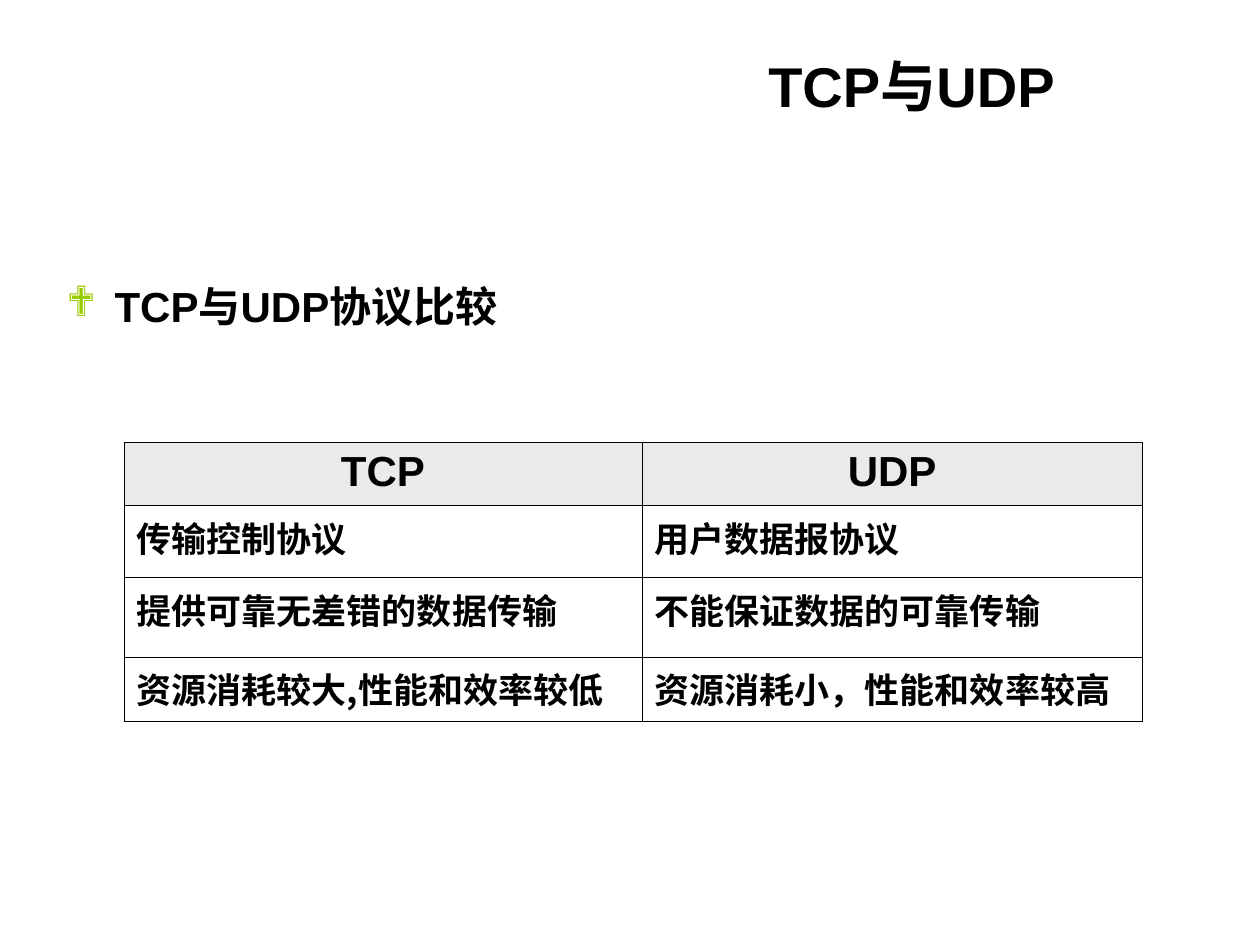
from dataclasses import dataclass

from lxml import etree
from pptx import Presentation
from pptx.dml.color import RGBColor
from pptx.enum import text as txt
from pptx.oxml import ns
from pptx.util import Pt

BLACK = RGBColor(0x00, 0x00, 0x00)
HEADER_GRAY = RGBColor(0xEA, 0xEA, 0xEA)
BULLET_GREEN = RGBColor(0x99, 0xCC, 0x00)
LATIN, CJK = "Arial", "Noto Sans CJK SC"
LEFT, CENTER, RIGHT = (txt.PP_ALIGN.LEFT, txt.PP_ALIGN.CENTER, txt.PP_ALIGN.RIGHT)


@dataclass(frozen=True)
class Style:
    size: float
    font: str = LATIN
    align: txt.PP_ALIGN = LEFT


@dataclass(frozen=True)
class Box:
    left: float
    top: float
    width: float
    height: float

    def in_points(self) -> tuple:
        return Pt(self.left), Pt(self.top), Pt(self.width), Pt(self.height)


TITLE = Style(32, align=RIGHT)
HEADING = Style(24)
TABLE_HEADER = Style(24, align=CENTER)
TABLE_BODY = Style(20, font=CJK)

COLUMN_WIDTHS = (296, 286)
ROW_HEIGHTS = (36.3, 41.2, 45.2, 37)
COMPARISON = (
    ("TCP", "UDP"),
    ("传输控制协议", "用户数据报协议"),
    ("提供可靠无差错的数据传输", "不能保证数据的可靠传输"),
    ("资源消耗较大,性能和效率较低", "资源消耗小，性能和效率较高"),
)


def add_child(parent, tag: str, **attributes: str):
    return etree.SubElement(parent, ns.qn(tag), **attributes)


def write(paragraph, wording: str, style: Style) -> None:
    paragraph.text = wording
    paragraph.alignment = style.align
    font = paragraph.font
    font.size, font.bold, font.name = Pt(style.size), True, style.font
    font.color.rgb = BLACK
    add_child(paragraph._p.pPr.find(ns.qn("a:defRPr")), "a:ea", typeface=CJK)


def add_bullet(paragraph, symbol: str, indent: float) -> None:
    properties = paragraph._p.get_or_add_pPr()
    properties.set("marL", str(Pt(indent)))
    properties.set("indent", str(-Pt(indent)))
    color = add_child(properties, "a:buClr")
    add_child(color, "a:srgbClr", val=str(BULLET_GREEN))
    add_child(properties, "a:buFont", typeface="Wingdings")
    add_child(properties, "a:buChar", char=symbol)


def add_text(slide, box: Box, anchor: txt.MSO_ANCHOR):
    """Add a wrapping text box and return its first paragraph."""
    frame = slide.shapes.add_textbox(*box.in_points()).text_frame
    frame.word_wrap = True
    frame.vertical_anchor = anchor
    return frame.paragraphs[0]


def add_borders(cell, width: float) -> None:
    properties = cell._tc.get_or_add_tcPr()
    for position, side in enumerate(("a:lnL", "a:lnR", "a:lnT", "a:lnB")):
        line = etree.Element(ns.qn(side), w=str(Pt(width)))
        fill = add_child(line, "a:solidFill")
        add_child(fill, "a:srgbClr", val=str(BLACK))
        properties.insert(position, line)


def add_comparison(slide, left: float, top: float) -> None:
    box = Box(left, top, sum(COLUMN_WIDTHS), sum(ROW_HEIGHTS))
    table = slide.shapes.add_table(
        len(ROW_HEIGHTS), len(COLUMN_WIDTHS), *box.in_points()
    ).table
    table.first_row = table.horz_banding = False
    for column, width in zip(table.columns, COLUMN_WIDTHS):
        column.width = Pt(width)
    for index, (row, height, wordings) in enumerate(
        zip(table.rows, ROW_HEIGHTS, COMPARISON)
    ):
        row.height = Pt(height)
        for cell, wording in zip(row.cells, wordings):
            if index == 0:
                cell.fill.solid()
                cell.fill.fore_color.rgb = HEADER_GRAY
            else:
                cell.fill.background()
            add_borders(cell, 0.45)
            write(cell.text_frame.paragraphs[0], wording,
                  TABLE_BODY if index else TABLE_HEADER)


def main() -> None:
    deck = Presentation()
    deck.slide_width, deck.slide_height = Pt(720), Pt(540)
    slide = deck.slides.add_slide(deck.slide_layouts[6])

    title = add_text(slide, Box(184.3, 26, 425.5, 45.4), txt.MSO_ANCHOR.MIDDLE)
    write(title, "TCP与UDP", TITLE)

    heading = add_text(slide, Box(31, 157, 493, 36), txt.MSO_ANCHOR.TOP)
    add_bullet(heading, "❖", 27.4)
    write(heading, "TCP与UDP协议比较", HEADING)

    add_comparison(slide, 70.8, 252.7)
    deck.save("out.pptx")


if __name__ == "__main__":
    main()
